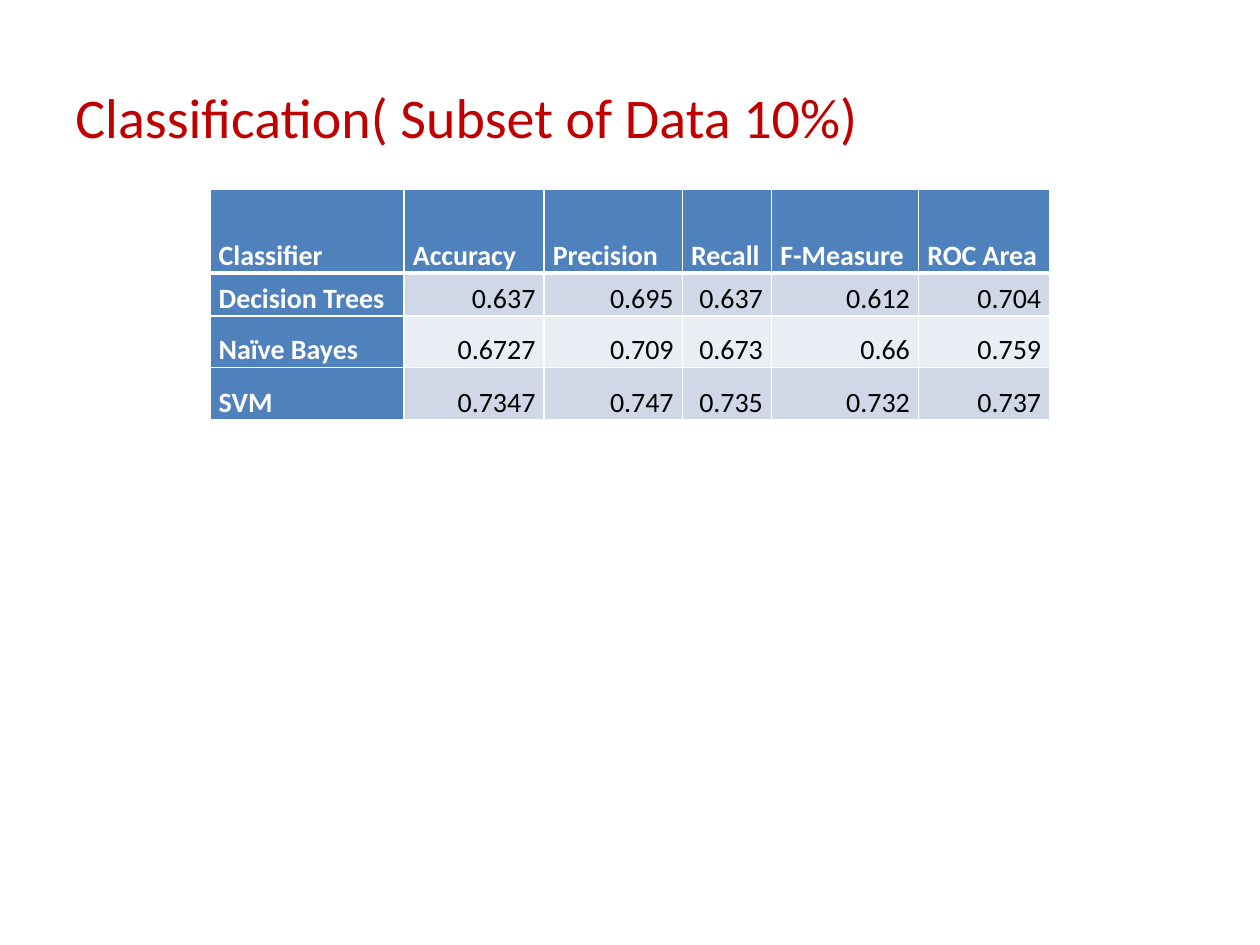
from dataclasses import dataclass

from lxml import etree
from pptx import Presentation
from pptx.dml.color import RGBColor
from pptx.enum.text import MSO_ANCHOR, PP_ALIGN
from pptx.oxml.ns import qn
from pptx.util import Pt

LEFT, RIGHT = PP_ALIGN.LEFT, PP_ALIGN.RIGHT
MIDDLE, BOTTOM = MSO_ANCHOR.MIDDLE, MSO_ANCHOR.BOTTOM
FONT = "Calibri"
WHITE, BLACK, RED, BLUE = "FFFFFF", "000000", "C00000", "4F81BD"
BANDS = ("D0D8E8", "E9EDF4")
THIN, THICK = 1, 3


@dataclass(frozen=True)
class Row:
    height: float
    texts: tuple[str, ...]


COLUMN_WIDTHS = (111, 80, 79, 51, 84, 75)
ROWS = (
    Row(48, ("Classifier", "Accuracy", "Precision", "Recall", "F-Measure", "ROC Area")),
    Row(24.5, ("Decision Trees", "0.637", "0.695", "0.637", "0.612", "0.704")),
    Row(29.5, ("Naïve Bayes", "0.6727", "0.709", "0.673", "0.66", "0.759")),
    Row(30, ("SVM", "0.7347", "0.747", "0.735", "0.732", "0.737")),
)


def color(value: str) -> RGBColor:
    return RGBColor.from_string(value)


def style_font(font, size: float, value: str, bold: bool = False) -> None:
    font.name = FONT
    font.size = Pt(size)
    font.bold = bold
    font.color.rgb = color(value)


def set_borders(cell, top: float, bottom: float) -> None:
    properties = cell._tc.get_or_add_tcPr()
    sides = {"a:lnL": THIN, "a:lnR": THIN, "a:lnT": top, "a:lnB": bottom}
    for position, (tag, width) in enumerate(sides.items()):
        line = etree.Element(qn(tag), w=str(Pt(width)))
        fill = etree.SubElement(line, qn("a:solidFill"))
        etree.SubElement(fill, qn("a:srgbClr"), val=WHITE)
        properties.insert(position, line)


def fill_cell(cell, text: str, row: int, column: int) -> None:
    is_heading = row == 0 or column == 0
    cell.fill.solid()
    cell.fill.fore_color.rgb = color(BLUE if is_heading else BANDS[(row - 1) % 2])
    cell.margin_left = cell.margin_right = Pt(5)
    cell.margin_top = cell.margin_bottom = Pt(0)
    cell.vertical_anchor = BOTTOM
    cell.text = text
    para = cell.text_frame.paragraphs[0]
    para.alignment = LEFT if is_heading else RIGHT
    para.line_spacing = 1.15
    style_font(para.font, 16, WHITE if is_heading else BLACK, is_heading)
    set_borders(cell, THICK if row == 1 else THIN, THICK if row == 0 else THIN)


def add_results(page) -> None:
    width, height = sum(COLUMN_WIDTHS), sum(row.height for row in ROWS)
    frame = page.shapes.add_table(
        len(ROWS), len(COLUMN_WIDTHS), Pt(120), Pt(108), Pt(width), Pt(height)
    )
    table = frame.table
    for column, column_width in zip(table.columns, COLUMN_WIDTHS):
        column.width = Pt(column_width)
    for row_index, row in enumerate(ROWS):
        table.rows[row_index].height = Pt(row.height)
        for column_index, text in enumerate(row.texts):
            fill_cell(table.cell(row_index, column_index), text, row_index, column_index)


def add_title(page, text: str) -> None:
    box = page.shapes.add_textbox(Pt(36), Pt(21.6), Pt(648), Pt(90))
    box.text_frame.word_wrap = True
    box.text_frame.vertical_anchor = MIDDLE
    para = box.text_frame.paragraphs[0]
    para.text = text
    style_font(para.font, 32, RED)


def main() -> None:
    deck = Presentation()
    deck.slide_width, deck.slide_height = Pt(720), Pt(540)
    page = deck.slides.add_slide(deck.slide_layouts[6])
    add_results(page)
    add_title(page, "Classification( Subset of Data 10%)")
    deck.save("out.pptx")


if __name__ == "__main__":
    main()
